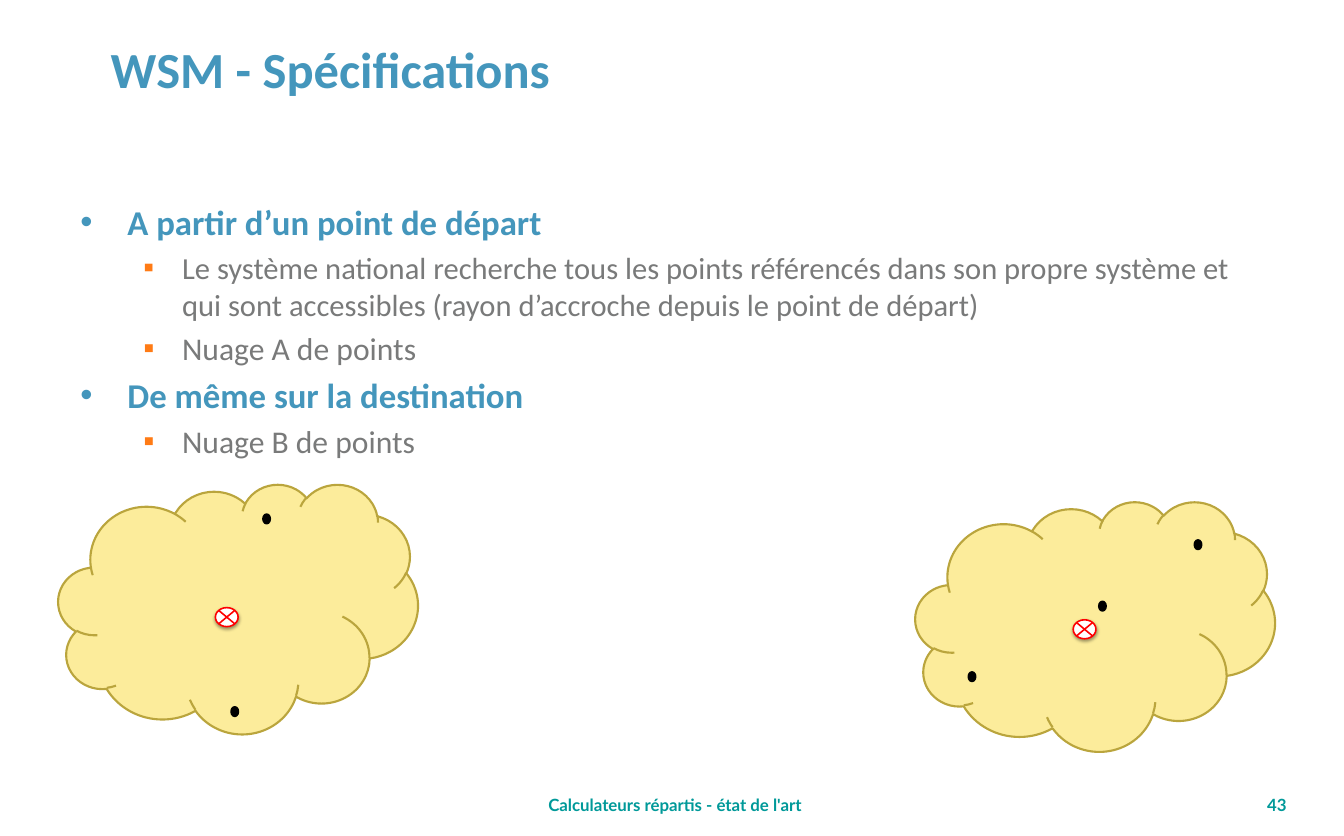
from dataclasses import dataclass

from lxml import etree
from pptx import Presentation
from pptx.dml.color import RGBColor
from pptx.enum.shapes import MSO_SHAPE
from pptx.enum.text import MSO_ANCHOR, PP_ALIGN
from pptx.oxml.ns import qn
from pptx.util import Inches, Pt

CLOUD = MSO_SHAPE.CLOUD
JUNCTION = MSO_SHAPE.FLOWCHART_SUMMING_JUNCTION
OVAL = MSO_SHAPE.OVAL
LEFT, CENTER = PP_ALIGN.LEFT, PP_ALIGN.CENTER
TOP, MIDDLE = MSO_ANCHOR.TOP, MSO_ANCHOR.MIDDLE


@dataclass(frozen=True)
class Theme:
    font: str = "Calibri"
    footer_font: str = "Lato"
    blue: str = "4496BC"
    grey: str = "797A7A"
    orange: str = "FF7B15"
    teal: str = "009999"
    cloud: str = "FBDF53"
    cloud_line: str = "BAA53D"
    red: str = "FF0000"
    white: str = "FFFFFF"
    black: str = "000000"
    title_size: int = 48
    head_size: int = 33
    sentence_size: int = 29
    item_size: int = 30
    footer_size: int = 16


T = Theme()

prs = Presentation()
prs.slide_width, prs.slide_height = Inches(17.72), Inches(11.02)
s = prs.slides.add_slide(prs.slide_layouts[6])


def add_text(box, paragraphs, size=T.footer_size, color=T.teal, font=T.font,
             bold=True, align=LEFT, anchor=TOP, inset=0.16):
    """Add a text box; each paragraph is (text, overrides of size, color, bold, bullet)."""
    tf = s.shapes.add_textbox(*map(Inches, box)).text_frame
    tf.word_wrap = True
    tf.vertical_anchor = anchor
    tf.margin_left = tf.margin_right = Inches(inset)
    tf.margin_top = tf.margin_bottom = Inches(0.08)
    for i, (text, fmt) in enumerate(paragraphs):
        p = tf.paragraphs[0] if i == 0 else tf.add_paragraph()
        p.alignment = align
        r = p.add_run()
        r.text = text
        r.font.name = font
        r.font.size = Pt(fmt.get("size", size))
        r.font.bold = fmt.get("bold", bold)
        r.font.color.rgb = RGBColor.from_string(fmt.get("color", color))
        if "bullet" in fmt:
            char, bullet_color, margin, hang, level = fmt["bullet"]
            p.level = level
            p.space_before = Pt(0.2 * fmt["size"])
            pPr = p._p.get_or_add_pPr()
            pPr.set("marL", str(Inches(margin)))
            pPr.set("indent", str(-Inches(hang)))
            bu_clr = etree.SubElement(pPr, qn("a:buClr"))
            etree.SubElement(bu_clr, qn("a:srgbClr"), val=bullet_color)
            etree.SubElement(pPr, qn("a:buFont"), typeface="Arial")
            etree.SubElement(pPr, qn("a:buChar"), char=char)


def add_figure(kind, box, fill, line, width, alpha=None, shadow=False):
    sp = s.shapes.add_shape(kind, *map(Inches, box))
    sp.shadow.inherit = False
    sp.fill.solid()
    sp.fill.fore_color.rgb = RGBColor.from_string(fill)
    sp.line.color.rgb = RGBColor.from_string(line)
    sp.line.width = Pt(width)
    spPr = sp._element.spPr
    if alpha:
        clr = spPr.find(qn("a:solidFill")).find(qn("a:srgbClr"))
        etree.SubElement(clr, qn("a:alpha"), val=str(alpha * 1000))
    if shadow:
        outer = etree.SubElement(spPr.find(qn("a:effectLst")), qn("a:outerShdw"),
                                 blurRad=str(Pt(3.1)), dist=str(Pt(1.6)),
                                 dir=str(90 * 60000), rotWithShape="0")
        clr = etree.SubElement(outer, qn("a:srgbClr"), val=T.black)
        etree.SubElement(clr, qn("a:alpha"), val="38000")


add_text((1.3, 0.23, 16.42, 1.34), [("WSM - Spécifications", {})],
         size=T.title_size, color=T.blue, anchor=MIDDLE)

head = dict(size=T.head_size, color=T.blue, bullet=("•", T.blue, 0.62, 0.62, 0))
item = dict(size=T.item_size, color=T.grey, bold=False,
            bullet=("▪", T.orange, 1.34, 0.51, 1))
sentence = {**item, "size": T.sentence_size}
add_text((0.89, 2.57, 15.95, 3.7), [
    ("A partir d’un point de départ", head),
    ("Le système national recherche tous les points référencés dans son propre "
     "système et qui sont accessibles (rayon d’accroche depuis le point de départ)",
     sentence),
    ("Nuage A de points", item),
    ("De même sur la destination", head),
    ("Nuage B de points", item),
], inset=0.17)

# Each cloud: its corner, the corner of its centre mark, the corners of its points
clouds = [
    ((0.77, 6.38), (2.84, 8.01), [(3.47, 6.78), (3.05, 9.32)]),
    ((12.07, 6.61), (14.15, 8.17), [(15.75, 7.12), (14.49, 7.93), (12.77, 8.86)]),
]
for corner, mark, points in clouds:
    add_figure(CLOUD, (*corner, 4.74, 3.29), T.cloud, T.cloud_line, 2, alpha=58)
    add_figure(JUNCTION, (*mark, 0.3, 0.25), T.white, T.red, 1.5, shadow=True)
    for point in points:
        add_figure(OVAL, (*point, 0.09, 0.12), T.black, T.black, 2)

for left, width, text in [(6.89, 4.02, "Calculateurs répartis - état de l'art"),
                          (15.95, 1.77, "43")]:
    add_text((left, 10.39, width, 0.63), [(text, {})], font=T.footer_font, align=CENTER)

prs.save("out.pptx")
